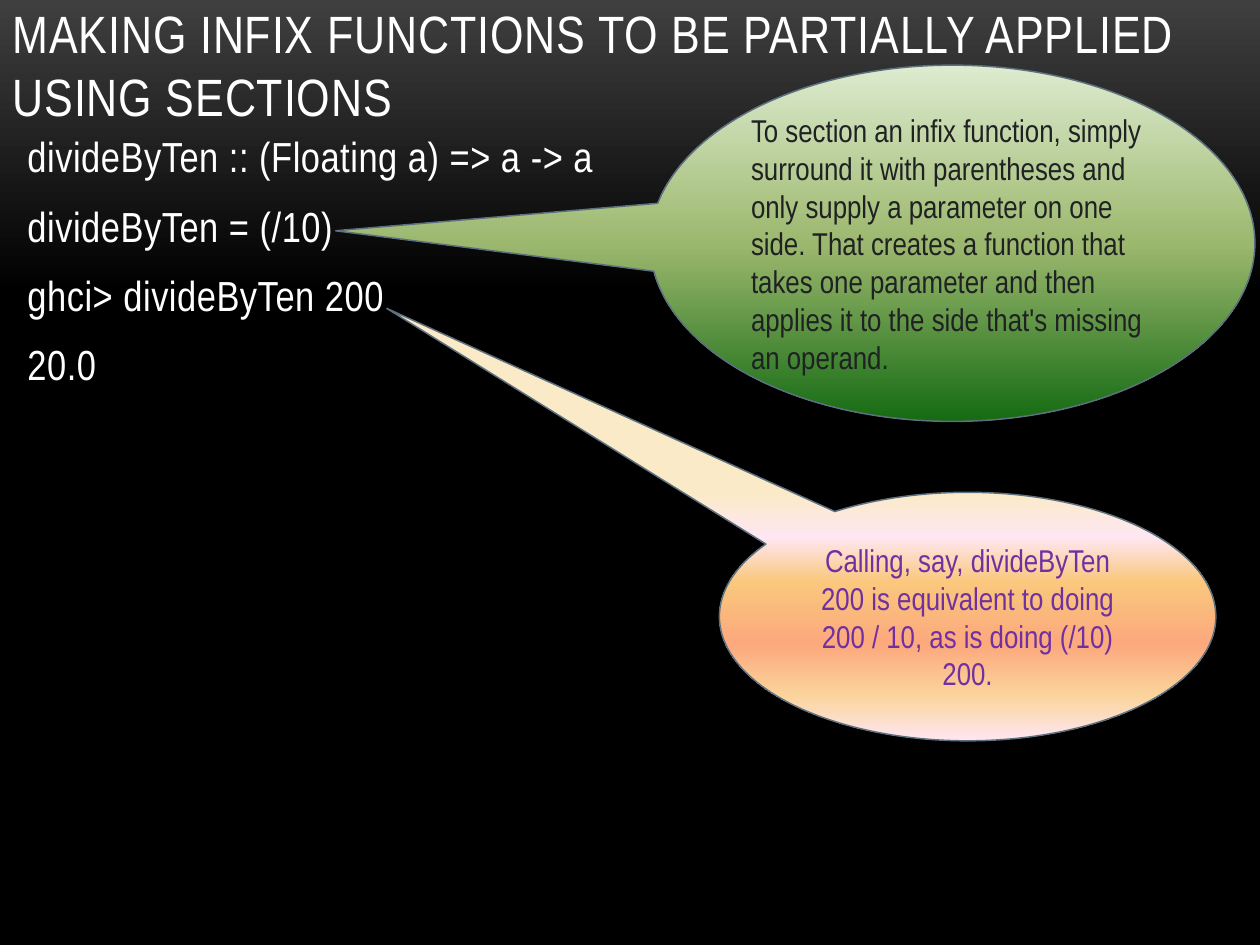
from lxml import etree
from pptx import Presentation
from pptx.dml.color import RGBColor
from pptx.enum.shapes import MSO_SHAPE
from pptx.enum.text import MSO_ANCHOR, MSO_AUTO_SIZE, PP_ALIGN
from pptx.oxml.ns import qn
from pptx.util import Inches, Pt

BUBBLE = MSO_SHAPE.OVAL_CALLOUT
LEFT, CENTER = PP_ALIGN.LEFT, PP_ALIGN.CENTER
BOTTOM, MIDDLE = MSO_ANCHOR.BOTTOM, MSO_ANCHOR.MIDDLE
NO_FIT = MSO_AUTO_SIZE.NONE
WIDE, HIGH = Inches(10), Inches(7.5)
FACE = "Arial Narrow"
WHITE = "FFFFFF"

BACK = [(0, "3F3F3F"), (31, "000000"), (100, "000000")]
GREEN = [(0, "DDEBCF"), (50, "9CB86E"), (100, "156B13")]
PEACH = [(0, "FBEAC7"), (18, "FEE7F2"), (36, "FAC77D"),
         (61, "FBA97D"), (82, "FBD49C"), (100, "FEE7F2")]

TITLE = "MAKING INFIX FUNCTIONS TO BE PARTIALLY APPLIED USING SECTIONS"
CODE = ["divideByTen :: (Floating a) => a -> a", "divideByTen = (/10)",
        "ghci> divideByTen 200", "20.0"]
SECTION = ("To section an infix function, simply surround it with parentheses "
           "and only supply a parameter on one side. That creates a function "
           "that takes one parameter and then applies it to the side that's "
           "missing an operand.")
CALL = ("Calling, say, divideByTen 200 is equivalent to doing 200 / 10, "
        "as is doing (/10) 200.")


def color(code):
    return RGBColor.from_string(code)


def place(box):
    x, y, w, h = box
    return int(x * WIDE), int(y * HIGH), int(w * WIDE), int(h * HIGH)


def shade(fill, root, stops):
    fill.gradient()
    fill.gradient_angle = 270
    ramp = next(root.iter(qn("a:gsLst")))
    for old in list(ramp):
        ramp.remove(old)
    for share, code in stops:
        stop = etree.SubElement(ramp, qn("a:gs"), pos=str(share * 1000))
        etree.SubElement(stop, qn("a:srgbClr"), val=code)


def style(para, size, code, align=LEFT, track=0):
    para.alignment = align
    font = para.font
    font.name, font.size = FACE, Pt(size)
    font.color.rgb = color(code)
    if track:
        para._p.pPr.find(qn("a:defRPr")).set("spc", str(int(track * 100)))


def add_title(slide, box):
    title = slide.shapes.title
    title.left, title.top, title.width, title.height = place(box)
    frame = title.text_frame
    frame.text = TITLE
    frame.word_wrap = True
    frame.auto_size = NO_FIT
    frame.vertical_anchor = BOTTOM
    style(frame.paragraphs[0], 30, WHITE, track=0.5)


def add_code(slide, box):
    frame = slide.shapes.add_textbox(*place(box)).text_frame
    frame.word_wrap = True
    frame.text = "\n".join(CODE)
    for i, para in enumerate(frame.paragraphs):
        para.space_before = Pt(4.8 if i else 0)
        para.space_after = Pt(6)
        style(para, 24, WHITE, track=0.3)


def add_bubble(slide, box, tip, stops, text, code, align):
    shape = slide.shapes.add_shape(BUBBLE, *place(box))
    shape.shadow.inherit = False
    shape.adjustments[0], shape.adjustments[1] = tip
    shade(shape.fill, shape.element, stops)
    shape.line.color.rgb = color("5D7080")
    shape.line.width = Pt(0.85)
    frame = shape.text_frame
    frame.word_wrap = True
    frame.vertical_anchor = MIDDLE
    frame.text = text
    style(frame.paragraphs[0], 18, code, align)


def main():
    deck = Presentation()
    deck.slide_width, deck.slide_height = WIDE, HIGH
    slide = deck.slides.add_slide(deck.slide_layouts[5])
    shade(slide.background.fill, slide.element, BACK)
    add_title(slide, (0, 0.005, 0.99, 0.136))
    add_code(slide, (0.012, 0.132, 0.97, 0.84))
    add_bubble(slide, (0.516, 0.069, 0.48, 0.377), (-1.02, -0.035),
               GREEN, SECTION, "1F2123", LEFT)
    add_bubble(slide, (0.571, 0.521, 0.394, 0.263), (-1.17, -1.24),
               PEACH, CALL, "7030A0", CENTER)
    deck.save("out.pptx")


if __name__ == "__main__":
    main()
